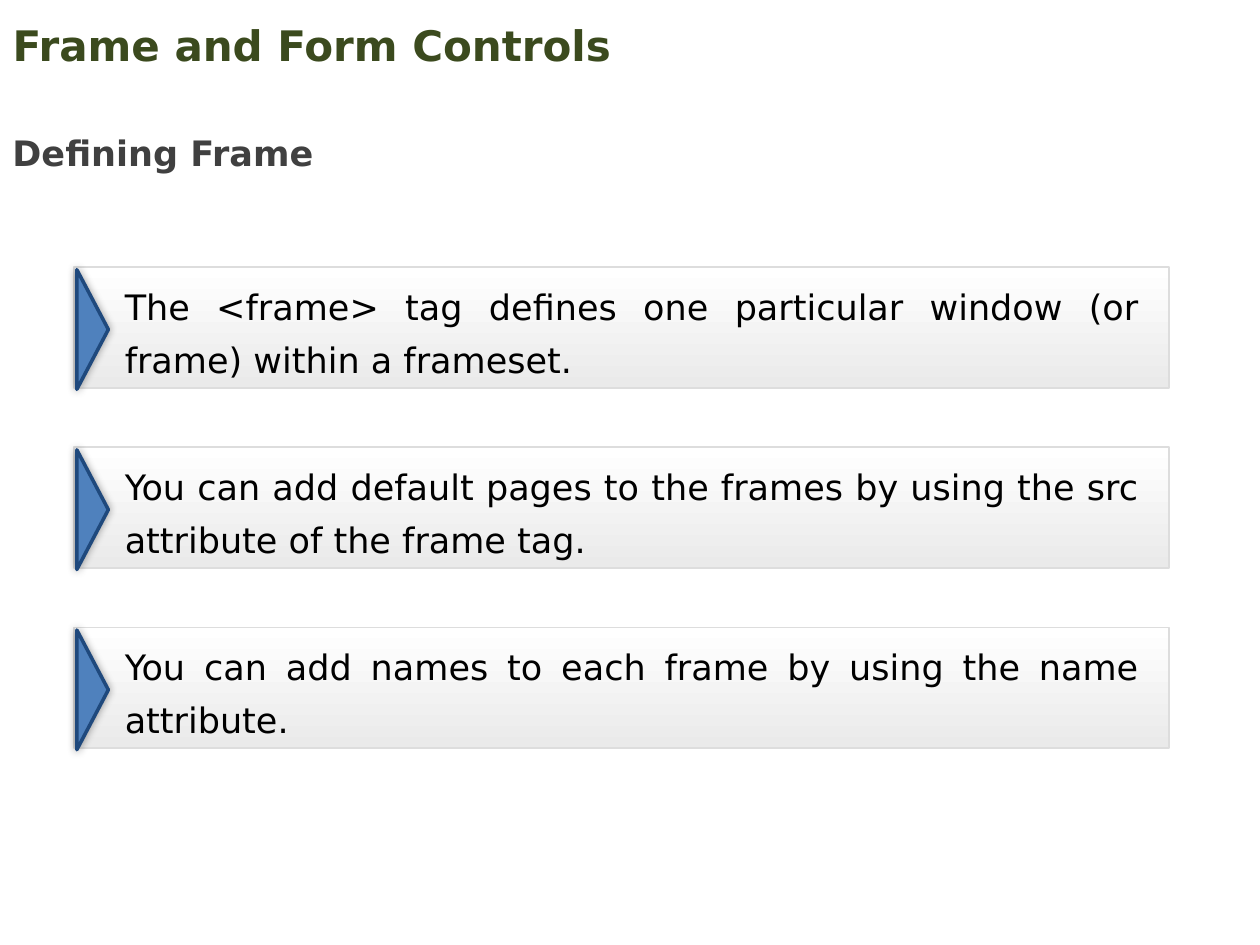
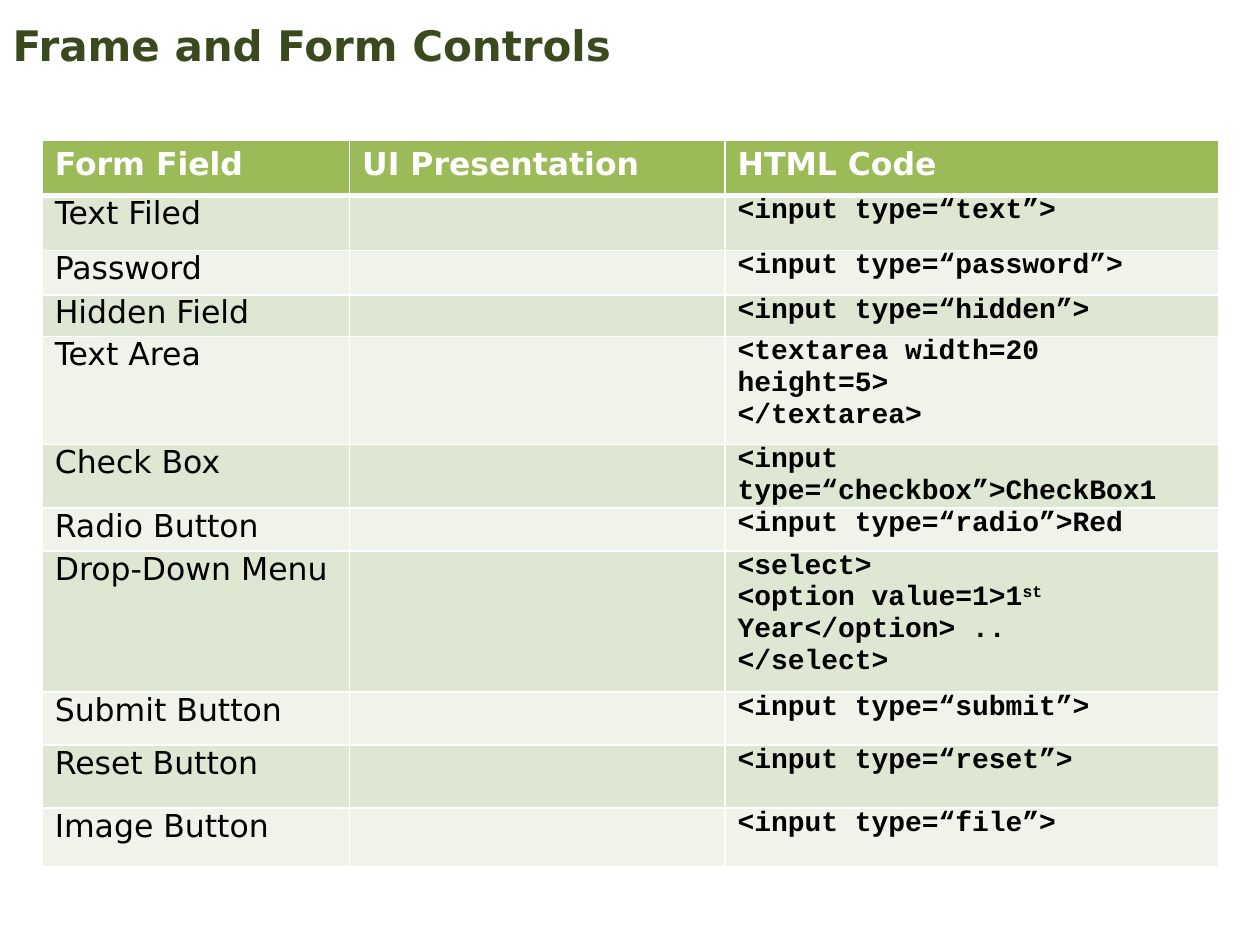
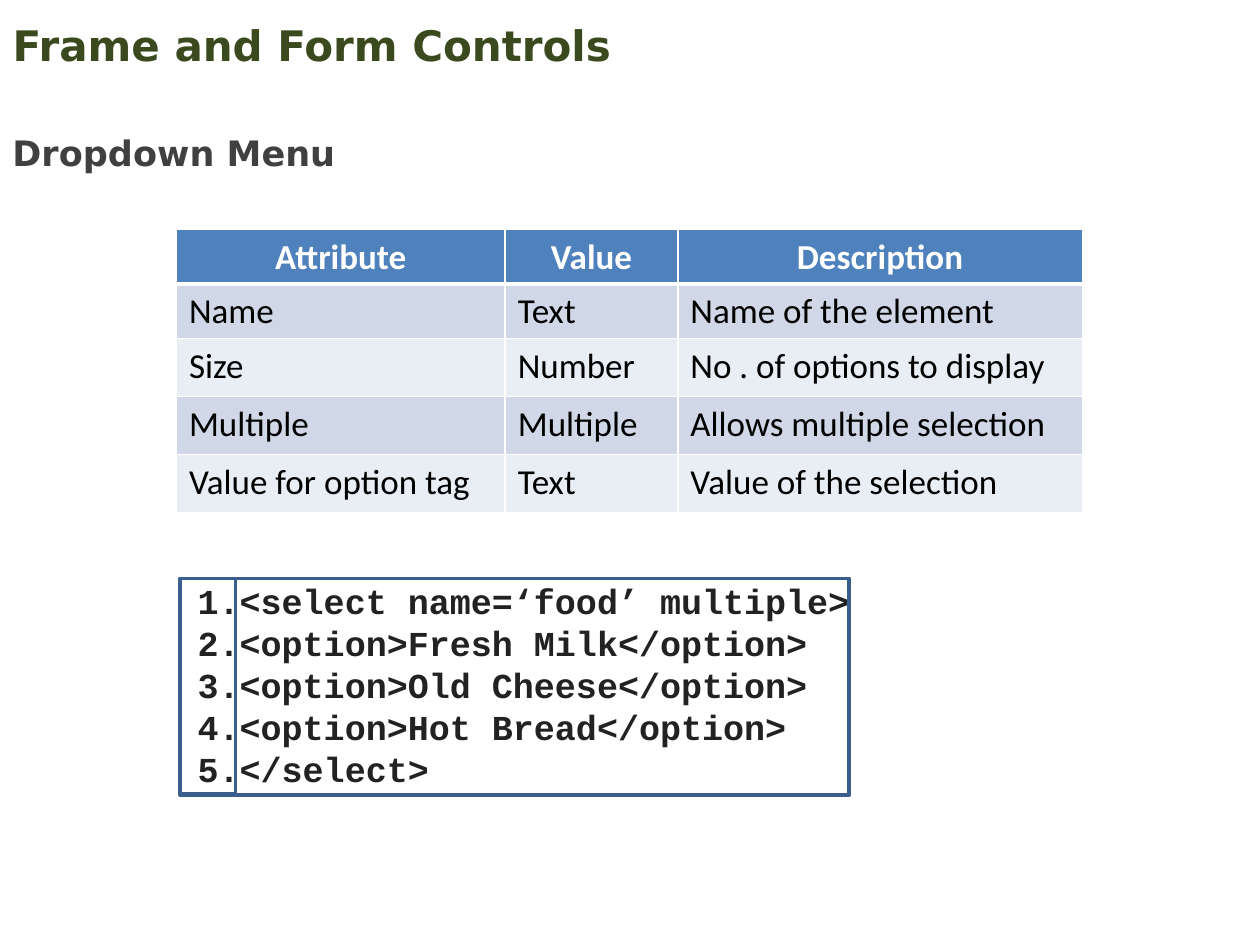
from lxml.etree import SubElement
from pptx import Presentation
from pptx.dml.color import RGBColor
from pptx.enum.shapes import MSO_SHAPE as SHAPE
from pptx.enum.text import MSO_ANCHOR as ANCHOR, MSO_AUTO_SIZE as AUTO, PP_ALIGN as ALIGN
from pptx.oxml import parse_xml
from pptx.oxml.ns import nsdecls, qn
from pptx.util import Inches, Pt

# Shared style
WHITE = RGBColor(0xFF, 0xFF, 0xFF)
BLACK = RGBColor(0x00, 0x00, 0x00)
OLIVE = RGBColor(0x3B, 0x4A, 0x1E)
GREY = RGBColor(0x40, 0x40, 0x40)
INK = RGBColor(0x22, 0x22, 0x22)
PALE = RGBColor(0xEA, 0xEA, 0xEA)
RULE = RGBColor(0xDD, 0xDD, 0xDD)
BLUE = RGBColor(0x4F, 0x81, 0xBD)
NAVY = RGBColor(0x1F, 0x49, 0x7D)
FRAME = RGBColor(0x3A, 0x5F, 0x8C)
GREEN_TABLE = (RGBColor(0x9B, 0xBB, 0x59), RGBColor(0xDE, 0xE7, 0xD1), RGBColor(0xEF, 0xF3, 0xEA))
BLUE_TABLE = (BLUE, RGBColor(0xD0, 0xD8, 0xE8), RGBColor(0xE9, 0xED, 0xF4))
SANS, TABLE_FONT, MONO = "DejaVu Sans", "Calibri", "Courier New"
COLUMNS, ROWS = 100, 75  # slide grid
TITLE = "Frame and Form Controls"


class Deck:
    """Holds the style and the current slide; lengths are grid columns and rows."""

    def __init__(self):
        self.prs = Presentation()
        self.prs.slide_width, self.prs.slide_height = Inches(10), Inches(7.5)
        self.s = None

    def cols(self, n):
        return round(self.prs.slide_width * n / COLUMNS)

    def rows(self, n):
        return round(self.prs.slide_height * n / ROWS)

    def box(self, x, y, w, h):
        return self.cols(x), self.rows(y), self.cols(w), self.rows(h)

    def run(self, p, text, size, color, font=SANS, bold=False):
        """Add text to a paragraph; parts between carets are superscript."""
        for i, part in enumerate(text.split("^")):
            r = p.add_run()
            r.text = part
            r.font.name, r.font.size, r.font.bold = font, Pt(size), bold
            r.font.color.rgb = color
            if i % 2:
                r.font._element.set("baseline", "30000")

    def slide(self, heading=None):
        self.s = self.prs.slides.add_slide(self.prs.slide_layouts[5])
        title = self.s.shapes.title
        title.left, title.top, title.width, title.height = self.box(0, 1.4, 90, 4.3)
        tf = title.text_frame
        tf.auto_size, tf.vertical_anchor = AUTO.NONE, ANCHOR.MIDDLE
        tf.paragraphs[0].alignment = ALIGN.LEFT
        self.run(tf.paragraphs[0], TITLE, 24, OLIVE, bold=True)
        if heading:
            tf = self.text(self.s, 0, 8.3, 38.5, 5.4)
            tf.paragraphs[0].line_spacing = 1.5
            self.run(tf.paragraphs[0], heading, 20, GREY, bold=True)

    def group(self):
        return self.s.shapes.add_group_shape()

    def text(self, parent, *place):
        tf = parent.shapes.add_textbox(*self.box(*place)).text_frame
        tf.word_wrap, tf.auto_size = True, AUTO.SHAPE_TO_FIT_TEXT
        return tf

    def shape(self, parent, kind, place, line, width, fill=None):
        sp = parent.shapes.add_shape(kind, *self.box(*place))
        sp.shadow.inherit = False
        sp.line.color.rgb, sp.line.width = line, Pt(width)
        if fill is None:
            sp.fill.background()
        else:
            sp.fill.solid()
            sp.fill.fore_color.rgb = fill
        return sp

    def bar(self, y, text):
        """Shaded bar with a triangle pointing into it."""
        grp = self.group()
        sp = self.shape(grp, SHAPE.RECTANGLE, (5.9, y, 86.9, 9.6), RULE, 1)
        sp.fill.gradient()
        sp.fill.gradient_angle = 270
        for stop, color in zip(sp.fill.gradient_stops, (WHITE, PALE)):
            stop.color.rgb = color
        tf = sp.text_frame
        tf.word_wrap, tf.vertical_anchor = True, ANCHOR.MIDDLE
        tf.margin_left, tf.margin_right = self.cols(4), self.cols(2.4)
        tf.margin_top = tf.margin_bottom = 0
        p = tf.paragraphs[0]
        p.alignment, p.line_spacing = ALIGN.JUSTIFY, Pt(30)
        self.run(p, text, 20, BLACK)

        tri = self.shape(grp, SHAPE.ISOSCELES_TRIANGLE, (2.6, y + 3.7, 9.5, 2.5), NAVY, 2, BLUE)
        tri.rotation = 90
        effects = tri._element.spPr.find(qn("a:effectLst"))
        shadow = SubElement(effects, qn("a:outerShdw"), blurRad=str(Pt(5)), dist="0", dir="0")
        black = SubElement(shadow, qn("a:srgbClr"), val=str(BLACK))
        SubElement(black, qn("a:alpha"), val="40000")

    def borders(self, cell, top, bottom):
        tcPr = cell._tc.get_or_add_tcPr()
        for i, (side, width) in enumerate(zip("LRTB", (1, 1, top, bottom))):
            tcPr.insert(i, parse_xml(
                f'<a:ln{side} {nsdecls("a")} w="{Pt(width)}"><a:solidFill>'
                f'<a:srgbClr val="{WHITE}"/></a:solidFill></a:ln{side}>'))

    def table(self, x, y, widths, heights, data, colors, head, body, flat=False):
        """head and body(column) give run styles; flat drops vertical body margins."""
        place = self.box(x, y, sum(widths), sum(heights))
        tbl = self.s.shapes.add_table(len(heights), len(widths), *place).table
        tbl.horz_banding = False
        for column, w in zip(tbl.columns, widths):
            column.width = self.cols(w)
        for row, h in zip(tbl.rows, heights):
            row.height = self.rows(h)
        for i, values in enumerate(data):
            for j, value in enumerate(values):
                cell = tbl.cell(i, j)
                cell.fill.solid()
                cell.fill.fore_color.rgb = colors[0 if i == 0 else 2 - i % 2]
                self.borders(cell, 3 if i == 1 else 1, 3 if i == 0 else 1)
                if flat and i:
                    cell.margin_top = cell.margin_bottom = 0
                style = body(j) if i else head
                for k, line in enumerate(value.split("\n") if value else []):
                    tf = cell.text_frame
                    p = tf.add_paragraph() if k else tf.paragraphs[0]
                    self.run(p, line, **style)
        return tbl

    def code(self, lines):
        """Numbered code listing inside a frame with a number gutter."""
        grp = self.group()
        tf = self.text(grp, 14.7, 45.4, 53.9, 17.8)
        tf.vertical_anchor = ANCHOR.MIDDLE
        for i, line in enumerate(lines):
            p = tf.add_paragraph() if i else tf.paragraphs[0]
            pPr = p._p.get_or_add_pPr()
            pPr.set("marL", str(self.cols(2.5)))
            pPr.set("indent", str(-self.cols(2.5)))
            SubElement(pPr, qn("a:buFont"), typeface=MONO)
            SubElement(pPr, qn("a:buAutoNum"), type="arabicPeriod")
            self.run(p, line, 20, INK, MONO, True)
        for width, height in ((53.1, 17.2), (4.4, 17.1)):
            self.shape(grp, SHAPE.RECTANGLE, (14.3, 45.9, width, height), FRAME, 2)


BARS = (
    "The <frame> tag defines one particular window (or frame) within a frameset.",
    "You can add default pages to the frames by using the src attribute of the frame tag.",
    "You can add names to each frame by using the name attribute.",
)
FIELDS = (
    ("Text Filed", "<input type=“text”>"),
    ("Password", "<input type=“password”>"),
    ("Hidden Field", "<input type=“hidden”>"),
    ("Text Area", "<textarea width=20 height=5>\n</textarea>"),
    ("Check Box", "<input type=“checkbox”>CheckBox1"),
    ("Radio Button", "<input type=“radio”>Red"),
    ("Drop-Down Menu", "<select>\n<option value=1>1^st^ Year</option> ..\n</select>"),
    ("Submit Button", "<input type=“submit”>"),
    ("Reset Button", "<input type=“reset”>"),
    ("Image Button", "<input type=“file”>"),
)
ATTRIBUTES = (
    ("Attribute", "Value", "Description"),
    ("Name", "Text", "Name of the element"),
    ("Size", "Number", "No . of options to display"),
    ("Multiple", "Multiple", "Allows multiple selection"),
    ("Value for option tag", "Text", "Value of the selection"),
)
MENU_CODE = (
    "<select name=‘food’ multiple>",
    "<option>Fresh Milk</option>",
    "<option>Old Cheese</option>",
    "<option>Hot Bread</option>",
    "</select>",
)


def main():
    deck = Deck()

    # Slide 1: defining frames
    deck.slide("Defining Frame")
    for i, text in enumerate(BARS):
        deck.bar(21.2 + 14.3 * i, text)

    # Slide 2: form fields
    deck.slide()
    label = dict(size=18, color=BLACK)
    markup = dict(size=16, color=BLACK, font=MONO, bold=True)
    data = [("Form Field", "UI Presentation", "HTML Code")]
    data += [(field, "", html) for field, html in FIELDS]
    deck.table(3.35, 11.1, (24.4, 29.8, 39.2),
               (4.4, 4.4, 3.5, 3.3, 8.6, 5, 3.4, 11.2, 4.2, 5, 4.7),
               data, GREEN_TABLE, dict(size=18, color=WHITE, bold=True),
               lambda column: markup if column == 2 else label, flat=True)

    # Slide 3: dropdown menu
    deck.slide("Dropdown Menu")
    plain = dict(size=20, color=BLACK, font=TABLE_FONT)
    tbl = deck.table(14, 18.2, (26.1, 13.7, 32.1), (4.3, 4.3, 4.6, 4.6, 4.6),
                     ATTRIBUTES, BLUE_TABLE, dict(plain, color=WHITE, bold=True),
                     lambda column: plain)
    for cell in tbl.rows[0].cells:
        cell.text_frame.paragraphs[0].alignment = ALIGN.CENTER
    deck.code(MENU_CODE)

    deck.prs.save("out.pptx")


if __name__ == "__main__":
    main()
